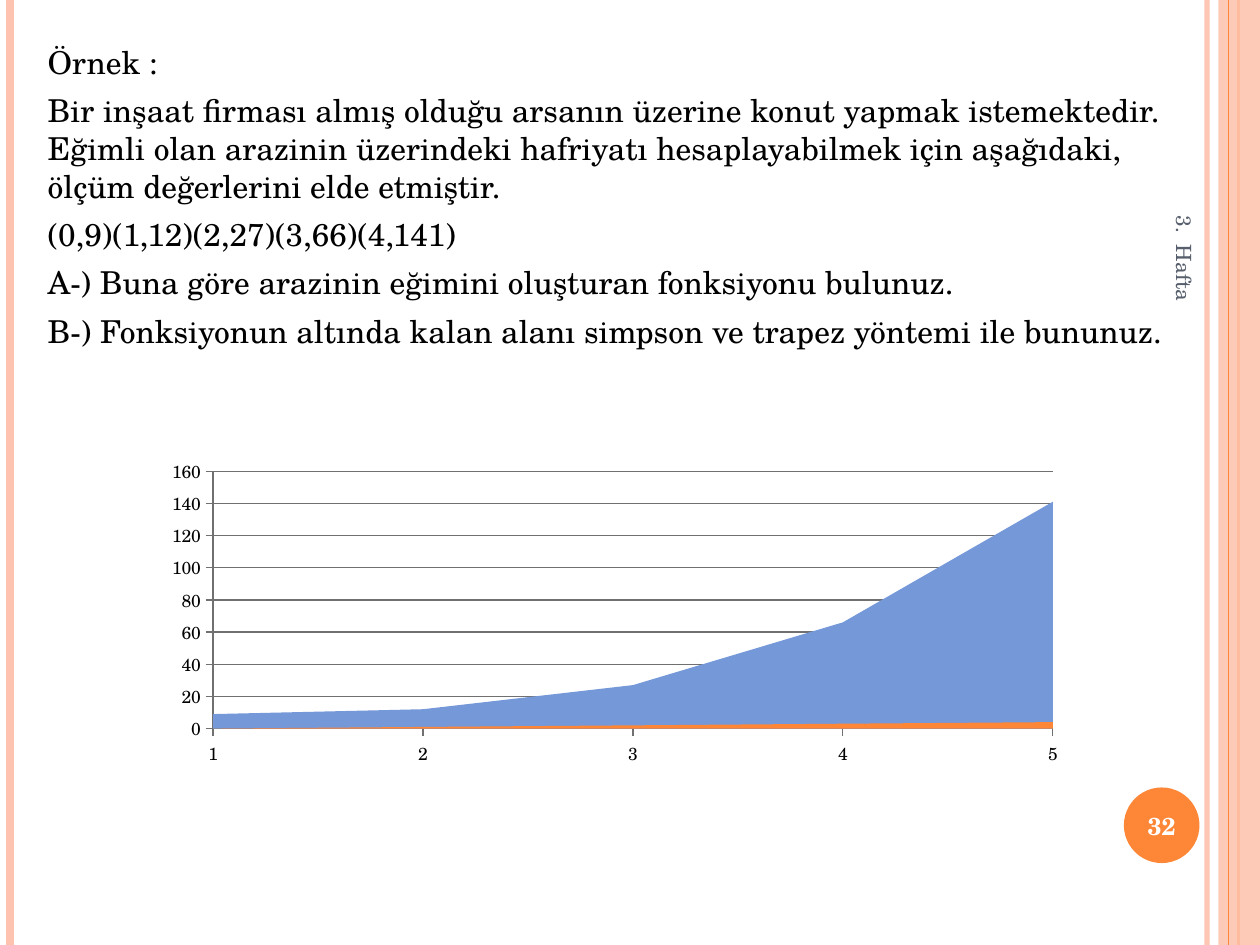
import collections
import lxml.etree
import pptx
import pptx.chart.data
import pptx.dml.color
import pptx.enum.chart
import pptx.enum.shapes
import pptx.enum.text
import pptx.oxml.ns
import pptx.util

Theme = collections.namedtuple(
    "Theme", "font ink slate white peach orange blue grid body label footer number")
THEME = Theme("TeX Gyre Schola", "000000", "575F6D", "FFFFFF", "FEC3AE", "FE8637",
              "7598D9", "707070", 18, 10, 12, 14)
Box = collections.namedtuple("Box", "left top width height")
COLUMNS, ROWS = 100, 75
CELL = pptx.util.Inches(0.1)
PARAGRAPHS = [
    "Örnek :",
    "Bir inşaat firması almış olduğu arsanın üzerine konut yapmak istemektedir. "
    "Eğimli olan arazinin üzerindeki hafriyatı hesaplayabilmek için aşağıdaki, "
    "ölçüm değerlerini elde etmiştir.",
    "(0,9)(1,12)(2,27)(3,66)(4,141)",
    "A-) Buna göre arazinin eğimini oluşturan fonksiyonu bulunuz.",
    "B-) Fonksiyonun altında kalan alanı simpson ve trapez yöntemi ile bununuz.",
]


def grid_box(left, top, width, height):
    """Turn columns and rows of the slide grid into lengths."""
    return Box(*(round(value * CELL) for value in (left, top, width, height)))


def color(value):
    """Return an RGB colour from its hexadecimal form."""
    return pptx.dml.color.RGBColor.from_string(value)


def set_opacity(shape, percent):
    """Make the first solid colour of a shape partly transparent."""
    tone = shape._element.spPr.find(".//" + pptx.oxml.ns.qn("a:srgbClr"))
    lxml.etree.SubElement(tone, pptx.oxml.ns.qn("a:alpha"), val=str(percent * 1000))


def add_rail(slide, box, share, tone, width, opacity=100):
    """Draw a vertical line at a share of the box's width."""
    x = box.left + round(box.width * share)
    rail = slide.shapes.add_connector(
        pptx.enum.shapes.MSO_CONNECTOR.STRAIGHT, x, box.top, x, box.top + box.height)
    rail.line.color.rgb = color(tone)
    rail.line.width = pptx.util.Pt(width)
    if opacity < 100:
        set_opacity(rail, opacity)
    lxml.etree.SubElement(rail._element.spPr, pptx.oxml.ns.qn("a:effectLst"))


def add_filled(slide, kind, box, tone):
    """Draw a plain filled shape without outline or shadow."""
    shape = slide.shapes.add_shape(kind, *box)
    shape.shadow.inherit = False
    shape.fill.solid()
    shape.fill.fore_color.rgb = color(tone)
    shape.line.fill.background()
    return shape


def add_frame(slide, box):
    """Draw the rails and the side band that frame the page."""
    add_rail(slide, box, 0.958, THEME.peach, 3, 93)
    add_rail(slide, box, 0.008, THEME.peach, 4.5)
    add_rail(slide, box, 0.983, THEME.orange, 1.5)
    band_width = round(box.width * 0.033)
    band = Box(box.left + box.width - band_width, box.top, band_width, box.height)
    set_opacity(add_filled(slide, pptx.enum.shapes.MSO_SHAPE.RECTANGLE, band, THEME.peach), 87)
    add_rail(slide, box, 0.975, THEME.orange, 0.75)


def add_text(slide, box, texts, size, tone, align, anchor, bold=False, before=0):
    """Write paragraphs in a wrapping text box."""
    shape = slide.shapes.add_textbox(*box)
    frame = shape.text_frame
    frame.word_wrap = True
    frame.vertical_anchor = anchor
    for index, text in enumerate(texts):
        paragraph = frame.add_paragraph() if index else frame.paragraphs[0]
        paragraph.alignment = align
        paragraph.space_before = pptx.util.Pt(before)
        run = paragraph.add_run()
        run.text = text
        run.font.name = THEME.font
        run.font.size = pptx.util.Pt(size)
        run.font.bold = bold
        run.font.color.rgb = color(tone)
    return shape


def add_page_number(slide, box, number):
    """Place the page number in a disc."""
    add_filled(slide, pptx.enum.shapes.MSO_SHAPE.OVAL, box, THEME.orange)
    add_text(slide, box, [number], THEME.number, THEME.white,
             pptx.enum.text.PP_ALIGN.CENTER, pptx.enum.text.MSO_ANCHOR.MIDDLE, bold=True)


def add_week_label(slide, box, text):
    """Write the week label turned to read downwards."""
    label = add_text(slide, box, [text], THEME.footer, THEME.slate,
                     pptx.enum.text.PP_ALIGN.RIGHT, pptx.enum.text.MSO_ANCHOR.MIDDLE)
    label.rotation = 90


def add_slope_chart(slide, box):
    """Plot the measured slope as an area chart."""
    data = pptx.chart.data.CategoryChartData()
    data.categories = ["1", "2", "3", "4", "5"]
    data.add_series("Series 1", (0, 1, 2, 3, 4))
    data.add_series("Series 2", (9, 12, 27, 66, 141))
    chart = slide.shapes.add_chart(pptx.enum.chart.XL_CHART_TYPE.AREA, *box, data).chart
    chart.has_title = False
    chart.has_legend = False
    chart.font.name = THEME.font
    chart.font.size = pptx.util.Pt(THEME.label)
    chart.font.color.rgb = color(THEME.ink)
    for series, tone in zip(chart.plots[0].series, (THEME.orange, THEME.blue)):
        series.format.fill.solid()
        series.format.fill.fore_color.rgb = color(tone)
        series.format.line.fill.background()
    values = chart.value_axis
    values.minimum_scale, values.maximum_scale, values.major_unit = 0, 160, 20
    values.has_major_gridlines = True
    chart.category_axis.has_major_gridlines = False
    for axis in (chart.category_axis, values):
        axis.major_tick_mark = pptx.enum.chart.XL_TICK_MARK.OUTSIDE
        axis.minor_tick_mark = pptx.enum.chart.XL_TICK_MARK.NONE
    for part in (chart.category_axis, values, values.major_gridlines):
        part.format.line.color.rgb = color(THEME.grid)
        part.format.line.width = pptx.util.Pt(0.75)
    for crossing in values._element.iter(pptx.oxml.ns.qn("c:crossBetween")):
        crossing.set("val", "midCat")


def main():
    """Build and save the presentation."""
    presentation = pptx.Presentation()
    presentation.slide_width = COLUMNS * CELL
    presentation.slide_height = ROWS * CELL
    slide = presentation.slides.add_slide(presentation.slide_layouts[6])
    add_frame(slide, grid_box(0, 0, COLUMNS, ROWS))
    add_text(slide, grid_box(2.8, 2.9, 92.1, 63.8), PARAGRAPHS, THEME.body, THEME.ink,
             pptx.enum.text.PP_ALIGN.LEFT, pptx.enum.text.MSO_ANCHOR.TOP, before=6)
    add_week_label(slide, grid_box(83, 11.8, 22, 4.2), "3.  Hafta")
    add_page_number(slide, grid_box(89.2, 62.5, 6, 6), "32")
    add_slope_chart(slide, grid_box(12.2, 35.9, 73.2, 25.4))
    presentation.save("out.pptx")


if __name__ == "__main__":
    main()
